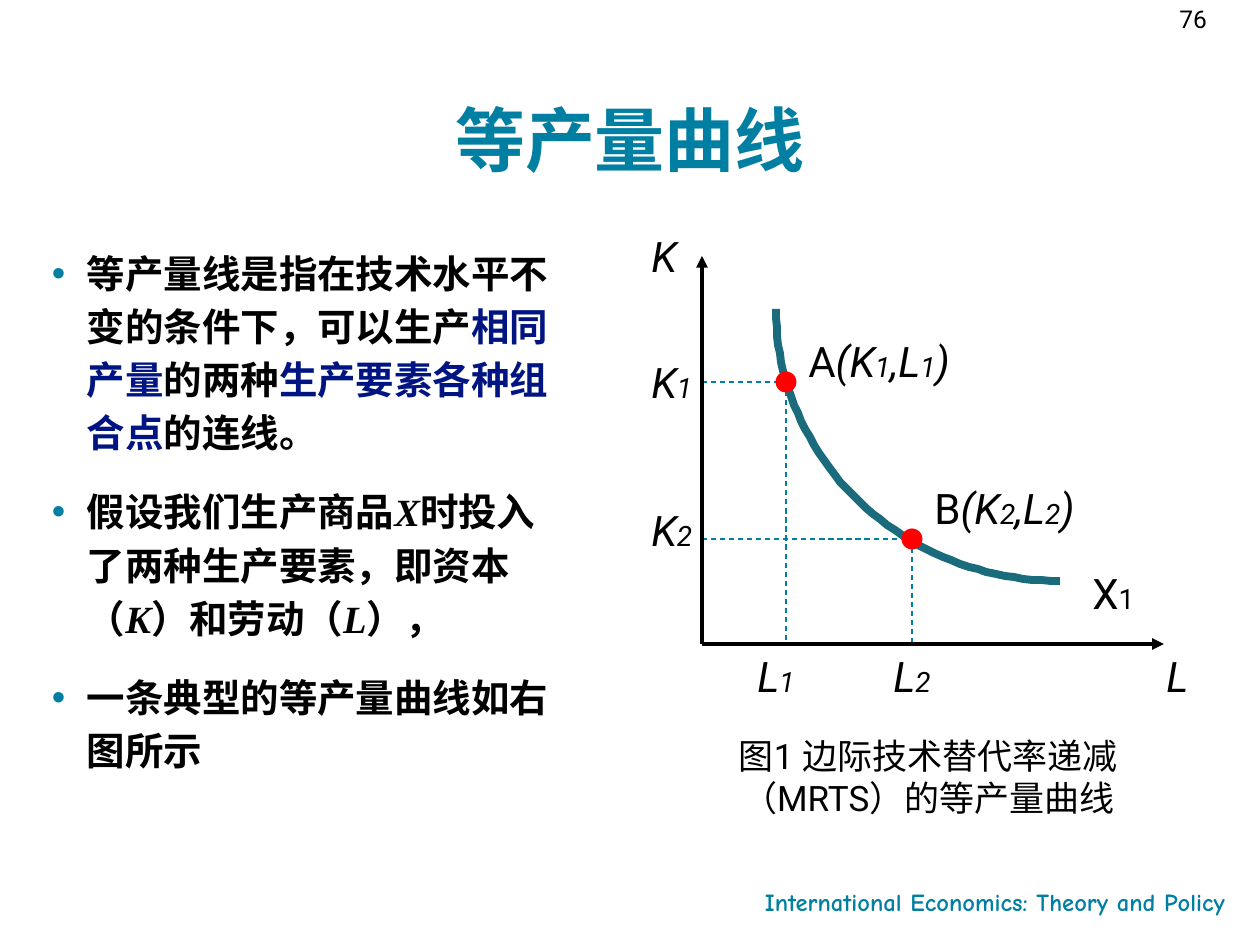
from itertools import groupby
from math import cos, pi, sin
from typing import NamedTuple

from lxml.etree import SubElement
from pptx import Presentation
from pptx.dml.color import RGBColor as Rgb
from pptx.enum.dml import MSO_LINE as Dash
from pptx.enum.shapes import MSO_CONNECTOR as Link, MSO_SHAPE as Shape
from pptx.enum.text import MSO_ANCHOR as Anchor, MSO_AUTO_SIZE as Fit, PP_ALIGN as Align
from pptx.oxml.ns import qn
from pptx.util import Emu, Pt

SCALE = 914400 / 126
COLORS = {"teal": "007FA3", "navy": "001581", "black": "000000",
          "curve": "1A6C7C", "red": "FF0000"}
SERIF, SANS, COMIC = "Times New Roman", "Roboto", "Comic Neue"


class Run(NamedTuple):
    text: str
    color: str = "black"
    italic: bool = False


class Label(NamedTuple):
    x: int
    y: int
    width: int
    upright: str
    slanted: str


class Point(NamedTuple):
    x: int
    y: int


BULLETS = [
    [Run("等产量线是指在技术水平不变的条件下，可以生产"), Run("相同产量", "navy"),
     Run("的两种"), Run("生产要素各种组合点", "navy"), Run("的连线。")],
    [Run("假设我们生产商品"), Run("X", italic=True),
     Run("时投入了两种生产要素，即资本（"), Run("K", italic=True),
     Run("）和劳动（"), Run("L", italic=True), Run("），")],
    [Run("一条典型的等产量曲线如右图所示")],
]
LABELS = [
    Label(1080, 561, 95, "X1", ""),
    Label(639, 224, 73, "", "K"),
    Label(1154, 644, 73, "", "L"),
    Label(796, 329, 199, "A", "(K1,L1)"),
    Label(922, 476, 199, "B", "(K2,L2)"),
    Label(639, 350, 73, "", "K1"),
    Label(639, 498, 73, "", "K2"),
    Label(745, 644, 73, "", "L1"),
    Label(881, 644, 73, "", "L2"),
]
ORIGIN = Point(702, 644)
K_END, L_END = Point(702, 256), Point(1164, 644)
DOTS = [Point(786, 382), Point(912, 539)]


def px(value: float) -> Emu:
    return Emu(round(value * SCALE))


def paint(name: str) -> Rgb:
    return Rgb.from_string(COLORS[name])


def add_run(para, text: str, size: int, font: str, color: str = "black",
            bold: bool = False, italic: bool = False) -> None:
    run = para.add_run()
    run.text = text
    face = run.font
    face.size, face.name = Pt(size), font
    face.bold, face.italic = bold, italic
    face.color.rgb = paint(color)


def add_box(slide, x: int, y: int, width: int, height: int):
    frame = slide.shapes.add_textbox(px(x), px(y), px(width), px(height)).text_frame
    frame.word_wrap = True
    return frame


def clear_inset(frame) -> None:
    frame.margin_left = frame.margin_right = 0
    frame.margin_top = frame.margin_bottom = 0


def add_line(slide, start: Point, end: Point, color: str, width: float):
    line = slide.shapes.add_connector(
        Link.STRAIGHT, px(start.x), px(start.y), px(end.x), px(end.y))
    line.line.color.rgb = paint(color)
    line.line.width = Pt(width)
    return line


def end_line(line) -> None:
    """Close a connector's properties with an empty effect list."""
    SubElement(line._element.spPr, qn("a:effectLst"))


def add_axis(slide, end: Point) -> None:
    line = add_line(slide, ORIGIN, end, "black", 2.25)
    SubElement(line.line._get_or_add_ln(), qn("a:tailEnd"), type="triangle")
    end_line(line)


def add_guide(slide, start: Point, end: Point) -> None:
    line = add_line(slide, start, end, "teal", 0.75)
    line.line.dash_style = Dash.DASH
    end_line(line)


def add_curve(slide) -> None:
    """Draw a quarter ellipse bowed toward the origin."""
    right, top, wide, high, steps = 1060, 309, 284, 272, 48
    points = [(right - wide * cos(turn), top + high * sin(turn))
              for turn in (pi / 2 * i / steps for i in range(steps + 1))]
    pen = slide.shapes.build_freeform(*points[0], scale=SCALE)
    pen.add_line_segments(points[1:], close=False)
    curve = pen.convert_to_shape()
    curve.shadow.inherit = False
    curve.fill.background()
    curve.line.color.rgb = paint("curve")
    curve.line.width = Pt(4.5)


def add_dot(slide, spot: Point) -> None:
    size = 21
    dot = slide.shapes.add_shape(Shape.OVAL, px(spot.x - size / 2),
                                 px(spot.y - size / 2), px(size), px(size))
    dot.shadow.inherit = False
    dot.fill.solid()
    dot.fill.fore_color.rgb = paint("red")
    dot.line.fill.background()


def add_label(slide, label: Label) -> None:
    """Write a label with its digits set smaller."""
    para = add_box(slide, label.x, label.y, label.width, 63).paragraphs[0]
    for text, italic in ((label.upright, False), (label.slanted, True)):
        for digit, part in groupby(text, str.isdigit):
            add_run(para, "".join(part), 16 if digit else 24, SANS, italic=italic)


def add_bullets(slide) -> None:
    frame = add_box(slide, 52, 243, 514, 571)
    clear_inset(frame)
    for i, runs in enumerate(BULLETS):
        para = frame.add_paragraph() if i else frame.paragraphs[0]
        para.line_spacing = 1.15
        if i:
            para.space_before = Pt(15)
        props = para._p.get_or_add_pPr()
        props.set("marL", str(px(35)))
        props.set("indent", str(-px(35)))
        SubElement(SubElement(props, qn("a:buClr")), qn("a:srgbClr"), val=COLORS["teal"])
        SubElement(props, qn("a:buFont"), typeface="Arial")
        SubElement(props, qn("a:buChar"), char="•")
        for run in runs:
            add_run(para, run.text, 22, SERIF, run.color, True, run.italic)


def add_title(slide) -> None:
    title = slide.shapes.title
    title.left, title.top, title.width, title.height = map(px, (63, 30, 1134, 151))
    frame = title.text_frame
    frame.auto_size = Fit.NONE
    frame.vertical_anchor = Anchor.BOTTOM
    clear_inset(frame)
    para = frame.paragraphs[0]
    para.alignment = Align.CENTER
    add_run(para, "等产量曲线", 40, SERIF, "teal", True)


def add_notes(slide) -> None:
    """Add the footer, the page number and the figure caption."""
    foot = add_box(slide, 530, 881, 708, 48).paragraphs[0]
    foot.alignment = Align.RIGHT
    add_run(foot, "International Economics: Theory and Policy", 14, COMIC, "teal", True)
    page = add_box(slide, 1167, 15, 76, 25)
    page.vertical_anchor = Anchor.BOTTOM
    add_run(page.paragraphs[0], "76", 14, SANS)
    note = add_box(slide, 650, 728, 557, 97).paragraphs[0]
    note.alignment = Align.CENTER
    add_run(note, "图1 边际技术替代率递减（MRTS）的等产量曲线", 20, SANS)


def main() -> None:
    deck = Presentation()
    deck.slide_width, deck.slide_height = px(1260), px(945)
    slide = deck.slides.add_slide(deck.slide_layouts[5])
    add_title(slide)
    add_notes(slide)
    add_bullets(slide)
    for dot in DOTS:
        add_guide(slide, Point(ORIGIN.x, dot.y), dot)
        add_guide(slide, dot, Point(dot.x, ORIGIN.y))
    for end in (K_END, L_END):
        add_axis(slide, end)
    add_curve(slide)
    for dot in DOTS:
        add_dot(slide, dot)
    for label in LABELS:
        add_label(slide, label)
    deck.save("out.pptx")


if __name__ == "__main__":
    main()
